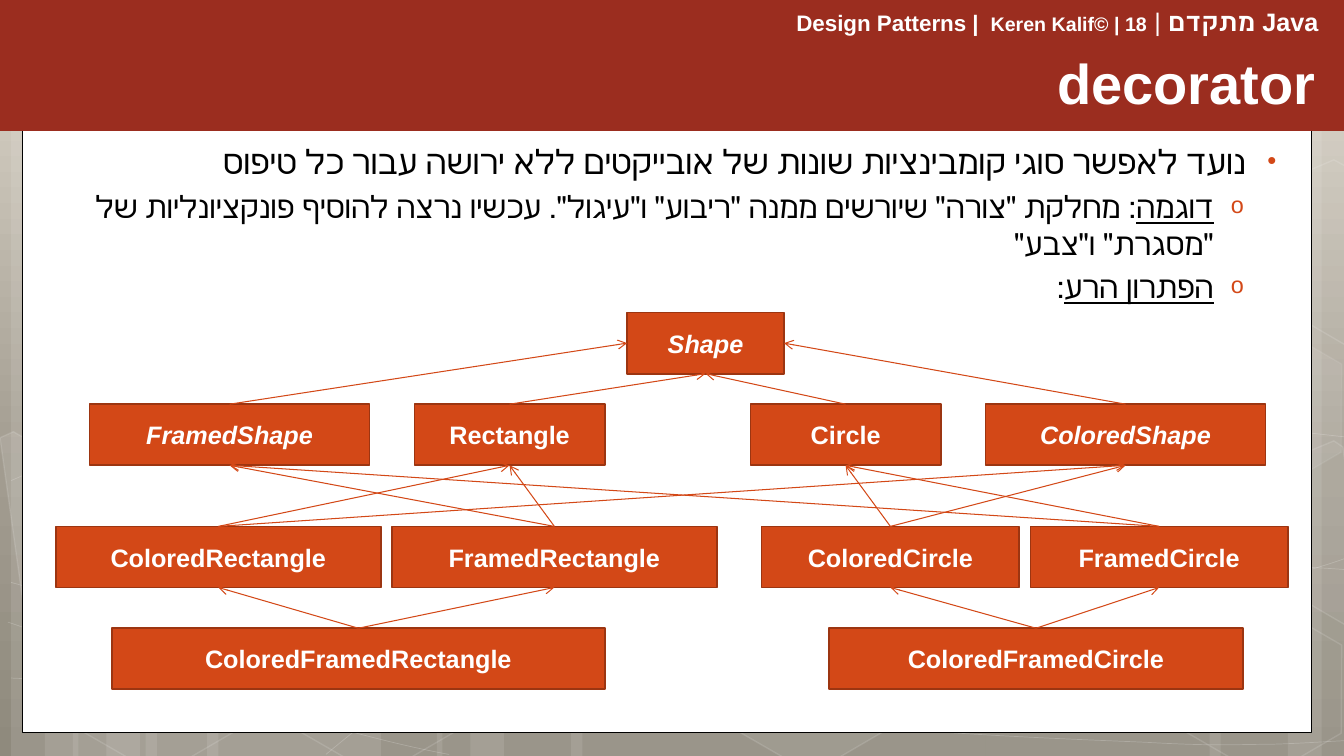
from dataclasses import dataclass

from lxml import etree
from pptx import Presentation, util as u
from pptx.dml.color import RGBColor
from pptx.enum import shapes, text
from pptx.oxml.ns import qn

COLS, ROWS = 120, 74.25


@dataclass(frozen=True)
class Theme:
    font: str = "Arial"
    white: str = "FFFFFF"
    black: str = "000000"
    banner: str = "9B2D1F"
    accent: str = "D34817"
    edge: str = "9C3511"
    backdrop: tuple = ((0, "DDD7CB"), (62, "A29C90"), (100, "8F8A7D"))
    title: int = 40
    body: tuple = (24, 22)
    label: int = 18
    header: tuple = (18, 16, 14)


def child(parent, tag, **attrs):
    return etree.SubElement(parent, qn(tag), {k: str(v) for k, v in attrs.items()})


def bend(sp):
    """Turn each three line segments of a freeform into one cubic curve."""
    lines = list(sp._element.iter(qn("a:lnTo")))
    for i in range(0, len(lines), 3):
        curve = etree.Element(qn("a:cubicBezTo"))
        lines[i].addprevious(curve)
        for line in lines[i:i + 3]:
            curve.append(line[0])
            line.getparent().remove(line)


class Deck:
    """Current slide and its style; every length is in grid columns and rows."""

    def __init__(self, theme):
        self.theme = theme
        self.prs = Presentation()
        self.prs.slide_width, self.prs.slide_height = u.Inches(13.33), u.Inches(7.5)
        self.s = self.prs.slides.add_slide(self.prs.slide_layouts[5])

    def at(self, *lengths):
        units = (self.prs.slide_width / COLS, self.prs.slide_height / ROWS)
        return [round(v * units[i % 2]) for i, v in enumerate(lengths)]

    def background(self):
        fill = self.s.background.fill
        fill.gradient()
        fill.gradient_angle = 270
        stops = self.s.background._cSld.find(".//" + qn("a:gsLst"))
        stops.clear()
        for pos, color in self.theme.backdrop:
            child(child(stops, "a:gs", pos=pos * 1000), "a:srgbClr", val=color)

    def paint(self, target, color, alpha=100):
        """Fill a shape, or a line's fill; no alpha leaves it empty."""
        if not alpha:
            target.background()
            return
        target.solid()
        target.fore_color.rgb = RGBColor.from_string(color)
        if alpha < 100:
            child(target._xPr.find(".//" + qn("a:srgbClr")), "a:alpha", val=alpha * 1000)

    def style(self, sp, fill, line=None, width=1, alpha=100, line_alpha=100):
        sp.shadow.inherit = False
        self.paint(sp.fill, fill, alpha)
        self.paint(sp.line.fill, line, line_alpha if line else 0)
        if line:
            sp.line.width = u.Pt(width)
        return sp

    def shape(self, kind, box, fill, **look):
        sp = self.s.shapes.add_shape(kind, *self.at(*box))
        return self.style(sp, fill, **look)

    def rect(self, box, fill, **look):
        return self.shape(shapes.MSO_SHAPE.RECTANGLE, box, fill, **look)

    def hexagon(self, x, y, alpha, line_alpha):
        sp = self.shape(shapes.MSO_SHAPE.HEXAGON, (x, y, 21.06, 15.05), self.theme.white,
                        line=self.theme.white, alpha=alpha, line_alpha=line_alpha)
        sp.adjustments[0] = 0.285
        sp.rotation = 30

    def outline(self, points, closed=False, **look):
        dots = [self.at(*p) for p in points]
        builder = self.s.shapes.build_freeform(*dots[0])
        builder.add_line_segments(dots[1:], close=closed)
        return self.style(builder.convert_to_shape(), self.theme.white,
                          line=self.theme.white, **look)

    def run(self, p, words, size, color, bold=None, italic=None, underline=None):
        r = p.add_run()
        r.text = words
        font = r.font
        font.size, font.bold, font.italic, font.underline = u.Pt(size), bold, italic, underline
        font.color.rgb = RGBColor.from_string(color)
        font.name = self.theme.font

    def rtl(self, p):
        p.alignment = text.PP_ALIGN.RIGHT
        p._p.get_or_add_pPr().set("rtl", "1")

    def textbox(self, box):
        tf = self.s.shapes.add_textbox(*self.at(*box)).text_frame
        tf.word_wrap = True
        return tf

    def title(self, words, box):
        sp = self.s.shapes.title
        sp.left, sp.top, sp.width, sp.height = self.at(*box)
        self.s.shapes._spTree.append(sp._element)
        tf = sp.text_frame
        tf.auto_size = text.MSO_AUTO_SIZE.NONE
        tf.vertical_anchor = text.MSO_ANCHOR.MIDDLE
        self.rtl(tf.paragraphs[0])
        self.run(tf.paragraphs[0], words, self.theme.title, self.theme.white, bold=True)

    def header(self, pieces, box):
        p = self.textbox(box).paragraphs[0]
        self.rtl(p)
        for words, size in zip(pieces, self.theme.header):
            self.run(p, words, size, self.theme.white, bold=True)

    def bullets(self, items, box):
        tf = self.textbox(box)
        for i, (level, pieces) in enumerate(items):
            p = tf.add_paragraph() if i else tf.paragraphs[0]
            size = self.theme.body[level]
            self.rtl(p)
            p.level = level
            pPr = p._p.pPr
            pPr.set("marL", str(u.Inches((0.38, 0.7)[level])))
            pPr.set("indent", str(u.Inches(-0.3)))
            child(child(pPr, "a:buClr"), "a:srgbClr", val=self.theme.accent)
            child(pPr, "a:buSzPct", val=76000)
            child(pPr, "a:buFont", typeface=self.theme.font)
            child(pPr, "a:buChar", char="•o"[level])
            p.space_before = u.Pt(0.2 * size if i else 0)
            for words, underline in pieces:
                self.run(p, words, size, self.theme.black, underline=underline)

    def node(self, name, x, y, w, abstract):
        sp = self.rect((x, y, w, 6), self.theme.accent, line=self.theme.edge, width=1.25)
        tf = sp.text_frame
        tf.vertical_anchor = text.MSO_ANCHOR.MIDDLE
        p = tf.paragraphs[0]
        p.alignment = text.PP_ALIGN.CENTER
        self.run(p, name, self.theme.label, self.theme.white, bold=True, italic=abstract)
        return sp

    def inherit(self, sub, base, side=2):
        """Arrow from the top of a subclass to a side of its base class."""
        line = self.s.shapes.add_connector(shapes.MSO_CONNECTOR.STRAIGHT, 0, 0, 0, 0)
        line.begin_connect(sub, 0)
        line.end_connect(base, side)
        self.paint(line.line.fill, self.theme.accent)
        line.line.width = u.Pt(0.75)
        child(line.line._get_or_add_ln(), "a:tailEnd", type="arrow")
        child(line._element.spPr, "a:effectLst")


BANDS = [(13, 21), (1, 6), (4, 10), (18.5, 21), (6.5, 6), (9.5, 10),
         (88, 21), (115, 6), (108, 10), (51, 37), (39, 6), (42, 10)]
# Each curve is a start point, then two control points and an end point per piece
CURVES = [
    [(1, 66.6), (7.4, 66.9), (13.9, 67.2), (22.9, 67.1), (31.9, 67), (42.9, 66.8), (54.9, 65.8),
     (67, 64.8), (84, 63), (95, 61.1), (106, 59.2), (117.3, 56.2), (120.9, 54.5)],
    [(1, 47.2), (4.3, 45.6), (7.7, 44.2), (14.6, 42.7), (21.4, 41.2), (31.1, 39), (41.7, 38.3),
     (52.4, 37.6), (65.2, 37.5), (78.5, 38.3), (91.7, 39.1), (113.7, 42.2), (120.9, 43)],
    [(0.7, 61.1), (15.2, 66.5), (29.7, 72), (40.1, 74.1)],
    [(1, 57.2), (4.6, 58.3), (8.4, 59.4), (15.4, 61), (22.3, 62.5), (32.8, 64.9), (42.8, 66.6),
     (52.7, 68.3), (65.4, 70.1), (75.3, 71.1), (85.3, 72.2), (95.9, 72.6), (102.3, 72.9),
     (108.6, 73.3), (110.3, 73.1), (113.4, 73.1), (116.5, 73), (118.7, 72.8), (120.9, 72.7)],
    [(29.1, 74.1), (31.2, 72.2), (33.3, 70.2), (36.3, 68.4), (39.2, 66.6), (43.2, 64.6),
     (46.5, 63.3), (49.9, 61.9), (51.9, 61.3), (56.3, 60.3), (60.8, 59.3), (68.9, 57.9),
     (73, 57.2), (77.2, 56.5), (77.9, 56.5), (81.6, 56.3), (90, 55.7), (103, 55.6),
     (114.3, 55.6), (116.6, 55.7), (118.5, 55.8), (120.7, 56)],
]
HEXAGONS = [(59.6, 58.3, 6, 12), (1.35, 58.5, 0, 12), (20.9, 58.6, 0, 12),
            (100.1, 58.7, 0, 12), (100.1, 31.1, 7, 8)]
CUT_HEXAGONS = [
    (10, [(0, 43), (1.2, 42.4), (10.4, 48.2), (11.4, 57.5), (3.5, 61.2), (2.2, 60.3)]),
    (4, [(111.2, 46.9), (119.1, 43.3), (119.9, 43.9), (122.1, 61.9), (121.4, 62.2), (112.2, 56.3)]),
    (0, [(111.2, 19.4), (119.1, 15.7), (120.1, 16.3), (122.1, 34.3), (121.4, 34.7), (112.2, 28.8)]),
]
BULLETS = [
    (0, [("נועד לאפשר סוגי קומבינציות שונות של אובייקטים ללא ירושה עבור כל טיפוס", None)]),
    (1, [("דוגמה", True), (": מחלקת \"צורה\" שיורשים ממנה \"ריבוע\" ו\"עיגול\". "
                           "עכשיו נרצה להוסיף פונקציונליות של \"מסגרת\" ו\"צבע\"", None)]),
    (1, [("הפתרון הרע", True), (":", None)]),
]
# Class tiers: top row, then name, left column, width and bases of each class
TIERS = [
    (30.7, [("Shape", 56, 14, [])]),
    (39.7, [("FramedShape", 8, 25, ["Shape"]), ("Rectangle", 37, 17, ["Shape"]),
            ("Circle", 67, 17, ["Shape"]), ("ColoredShape", 88, 25, ["Shape"])]),
    (51.7, [("ColoredRectangle", 5, 29, ["Rectangle", "ColoredShape"]),
            ("FramedRectangle", 35, 29, ["Rectangle", "FramedShape"]),
            ("ColoredCircle", 68, 23, ["ColoredShape", "Circle"]),
            ("FramedCircle", 92, 23, ["Circle", "FramedShape"])]),
    (61.7, [("ColoredFramedRectangle", 10, 44, ["ColoredRectangle", "FramedRectangle"]),
            ("ColoredFramedCircle", 74, 37, ["ColoredCircle", "FramedCircle"])]),
]
SIDES = {"FramedShape": 1, "ColoredShape": 3}


def main():
    theme = Theme()
    deck = Deck(theme)
    deck.background()
    for x, w in BANDS:
        deck.rect((x, 0, w, ROWS), theme.white, alpha=10)
    for points in CURVES:
        bend(deck.outline(points, width=0.5, alpha=0, line_alpha=20))
    for hexagon in HEXAGONS:
        deck.hexagon(*hexagon)
    for alpha, points in CUT_HEXAGONS:
        deck.outline(points, closed=True, alpha=alpha, line_alpha=12)
    deck.rect((2, 3.55, 115.1, 68.4), theme.white, line=theme.black, width=0.5)
    deck.rect((0, -0.1, COLS, 12.97), theme.banner)
    deck.header(["Java מתקדם | ", "Design Patterns | ", " Keren Kalif© | 18"], (2.5, 0.1, 116.1, 9))
    deck.title("decorator", (0, 4.1, 118.35, 8))
    deck.bullets(BULLETS, (3.15, 13.35, 112.4, 57.3))
    nodes = {name: deck.node(name, x, y, w, name.endswith("Shape"))
             for y, tier in TIERS for name, x, w, _ in tier}
    for _, tier in TIERS:
        for name, _, _, bases in tier:
            for base in bases:
                deck.inherit(nodes[name], nodes[base], SIDES.get(name, 2))
    deck.prs.save("out.pptx")


if __name__ == "__main__":
    main()
